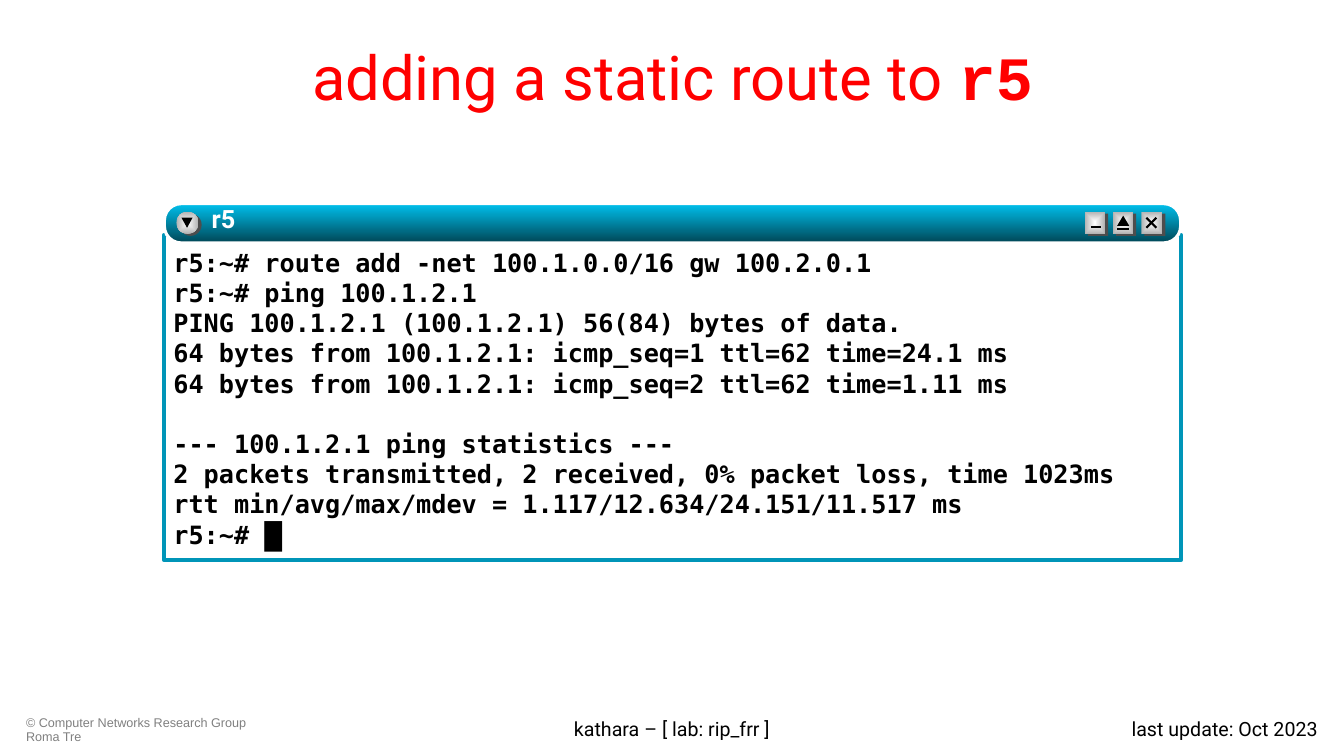
from dataclasses import dataclass

from lxml.etree import SubElement
from pptx import Presentation
from pptx.dml.color import RGBColor
from pptx.enum.shapes import MSO_CONNECTOR, MSO_SHAPE
from pptx.enum.text import MSO_ANCHOR, PP_ALIGN
from pptx.oxml import parse_xml
from pptx.oxml.ns import nsdecls, qn
from pptx.util import Inches, Pt

MONO = "DejaVu Sans Mono"
TEAL, BLACK, WHITE, GREY = "0095B8", "000000", "FFFFFF", "4D4D4D"

Box = tuple[float, float, float, float]


@dataclass
class Label:
    text: str
    box: Box
    size: float
    color: str
    font: str = "Roboto"
    align: PP_ALIGN = PP_ALIGN.LEFT
    bold: bool = False


@dataclass
class Button:
    kind: MSO_SHAPE
    box: Box
    strokes: tuple[Box, ...] = ()
    mark: Box | None = None
    turn: float = 0


LABELS = [
    Label("© Computer Networks Research Group Roma Tre",
          (0.16, 7.06, 2.49, 0.36), 9, "808080", "Arial"),
    Label("last update: Oct 2023", (10.13, 7.06, 3.04, 0.36), 14, BLACK,
          align=PP_ALIGN.RIGHT),
    Label("kathara – [ lab: rip_frr ]", (3.41, 7.06, 6.51, 0.36), 14, BLACK,
          align=PP_ALIGN.CENTER),
]
BUTTONS = [
    Button(MSO_SHAPE.OVAL, (1.75, 2.1, 0.22, 0.22),
           mark=(1.8, 2.16, 0.11, 0.1), turn=180),
    Button(MSO_SHAPE.RECTANGLE, (10.76, 2.1, 0.2, 0.22),
           ((10.82, 2.25, 10.92, 2.25),)),
    Button(MSO_SHAPE.RECTANGLE, (11.04, 2.1, 0.2, 0.22),
           ((11.08, 2.27, 11.2, 2.27),), (11.08, 2.14, 0.12, 0.1)),
    Button(MSO_SHAPE.RECTANGLE, (11.32, 2.1, 0.21, 0.22),
           ((11.37, 2.26, 11.47, 2.16), (11.37, 2.16, 11.47, 2.26))),
]
COMMANDS = [
    "r5:~# route add -net 100.1.0.0/16 gw 100.2.0.1",
    "r5:~# ping 100.1.2.1",
    "PING 100.1.2.1 (100.1.2.1) 56(84) bytes of data.",
    "64 bytes from 100.1.2.1: icmp_seq=1 ttl=62 time=24.1 ms",
    "64 bytes from 100.1.2.1: icmp_seq=2 ttl=62 time=1.11 ms",
    "--- 100.1.2.1 ping statistics ---",
    "2 packets transmitted, 2 received, 0% packet loss, time 1023ms",
    "rtt min/avg/max/mdev = 1.117/12.634/24.151/11.517 ms",
    "r5:~# ",
]

deck = Presentation()
deck.slide_width, deck.slide_height = Inches(13.33), Inches(7.5)
slide = deck.slides.add_slide(deck.slide_layouts[6])


def rgb(code: str) -> RGBColor:
    return RGBColor.from_string(code)


def style(para, label: Label) -> None:
    para.alignment = label.align
    font = para.font
    font.name, font.size, font.bold = label.font, Pt(label.size), label.bold
    font.color.rgb = rgb(label.color)


def write(label: Label, inset: Box = (0.1, 0.05, 0.1, 0.05)):
    """Add a text box with one line for each line of the label."""
    frame = slide.shapes.add_textbox(*map(Inches, label.box)).text_frame
    frame.word_wrap = True
    (frame.margin_left, frame.margin_top,
     frame.margin_right, frame.margin_bottom) = map(Inches, inset)
    frame.text = label.text
    for para in frame.paragraphs:
        style(para, label)
    return frame


def draw(kind: MSO_SHAPE, box: Box, fill: str | None = None,
         line: str | None = None, width: float = 1):
    shape = slide.shapes.add_shape(kind, *map(Inches, box))
    shape.shadow.inherit = False
    if fill:
        shape.fill.solid()
        shape.fill.fore_color.rgb = rgb(fill)
    else:
        shape.fill.background()
    if line:
        shape.line.color.rgb = rgb(line)
        shape.line.width = Pt(width)
    else:
        shape.line.fill.background()
    return shape


def blend(shape, first: str, last: str, radial: bool = False) -> None:
    """Fill from first to last, downwards or from the centre."""
    shape.fill.gradient()
    shape.fill.gradient_angle = 270
    for stop, code in zip(shape.fill.gradient_stops, (first, last)):
        stop.color.rgb = rgb(code)
    if radial:
        grad = shape._element.spPr.find(qn("a:gradFill"))
        grad.replace(grad.find(qn("a:lin")), parse_xml(
            f'<a:path {nsdecls("a")} path="shape"><a:fillToRect l="50000" '
            't="50000" r="50000" b="50000"/></a:path>'))


def stroke(ends: Box) -> None:
    line = slide.shapes.add_connector(MSO_CONNECTOR.STRAIGHT, *map(Inches, ends))
    line.line.color.rgb = rgb(BLACK)
    line.line.width = Pt(1.5)
    SubElement(line._element.spPr, qn("a:effectLst"))


def press(button: Button) -> None:
    left, top, width, height = button.box
    draw(button.kind, (left + 0.03, top + 0.02, width, height), GREY)
    blend(draw(button.kind, button.box), WHITE, "B2B2B2", radial=True)
    for ends in button.strokes:
        stroke(ends)
    if button.mark:
        mark = draw(MSO_SHAPE.ISOSCELES_TRIANGLE, button.mark, BLACK)
        mark.rotation = button.turn


# Title and footer
title = write(Label("adding a static route to ", (0.67, 0.13, 12, 1.25), 44,
                    "FF0000", align=PP_ALIGN.CENTER))
title.vertical_anchor = MSO_ANCHOR.MIDDLE
host = title.paragraphs[0].add_run()
host.text = "r5"
host.font.name, host.font.bold = "Courier New", True
for label in LABELS:
    frame = write(label)
    if label.font == "Arial":
        frame.paragraphs[0].line_spacing = 0.9

# Terminal body
draw(MSO_SHAPE.RECTANGLE, (1.63, 2.33, 10.08, 3.23), line=TEAL, width=3)
shell = write(Label("\n".join(COMMANDS), (1.64, 2.33, 10.06, 3.23), 18, BLACK,
                    MONO, bold=True), (0.08, 0.12, 0.08, 0.04))
for para in shell.paragraphs:
    if para.text.startswith("---"):
        para.space_before = Pt(21.5)
cursor = shell.paragraphs[-1].add_run()
cursor.text = "█"
cursor.font.name = "Arial"

# Title bar and buttons
bar = draw(MSO_SHAPE.ROUNDED_RECTANGLE, (1.63, 2.02, 10.08, 0.39),
           line=WHITE, width=2.25)
bar.adjustments[0] = 0.43
blend(bar, "00C1EE", "004656")
for button in BUTTONS:
    press(button)

# Window name with its text shadow
name = write(Label("r5", (2.1, 2.02, 7.24, 0.39), 18, WHITE, bold=True),
             (0, 0, 0, 0))
props = name.paragraphs[0].runs[0].font._element
props.append(parse_xml(
    f'<a:effectLst {nsdecls("a")}><a:outerShdw dist="38100" dir="2700000">'
    f'<a:srgbClr val="{BLACK}"/></a:outerShdw></a:effectLst>'))

deck.save("out.pptx")
